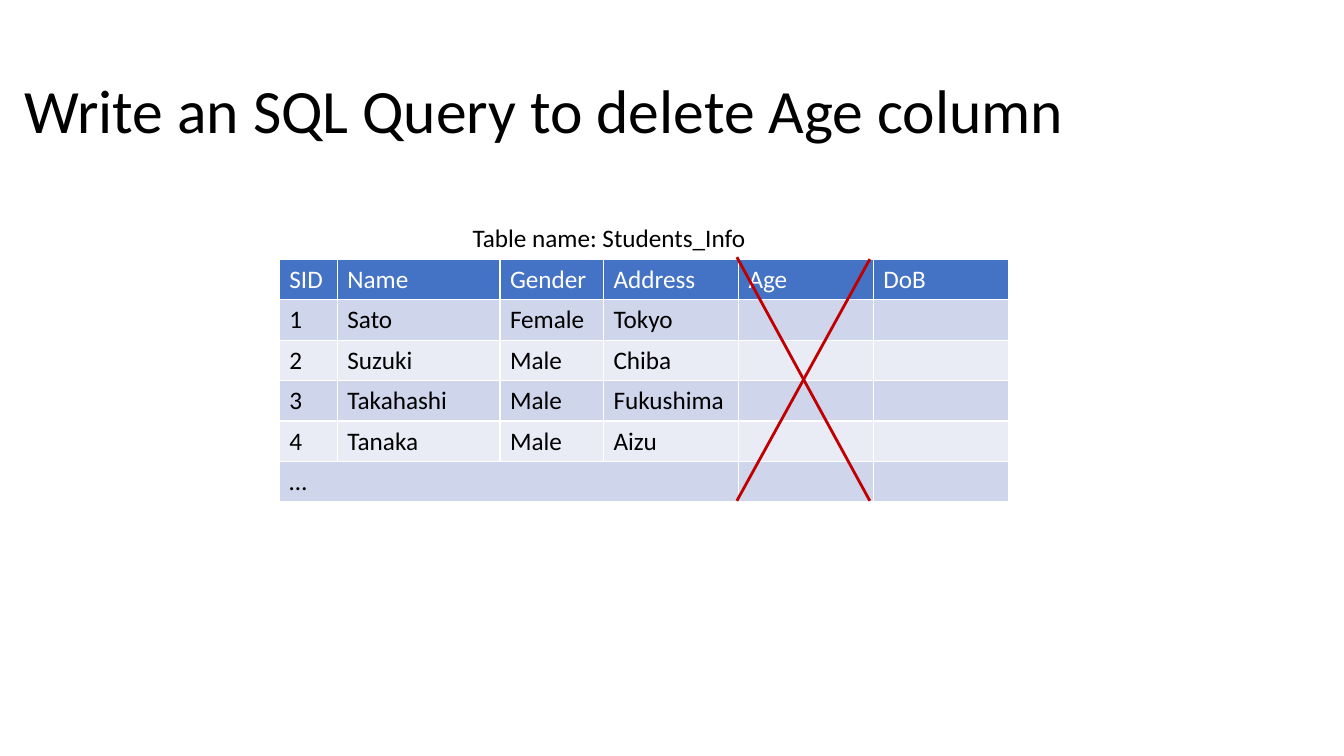
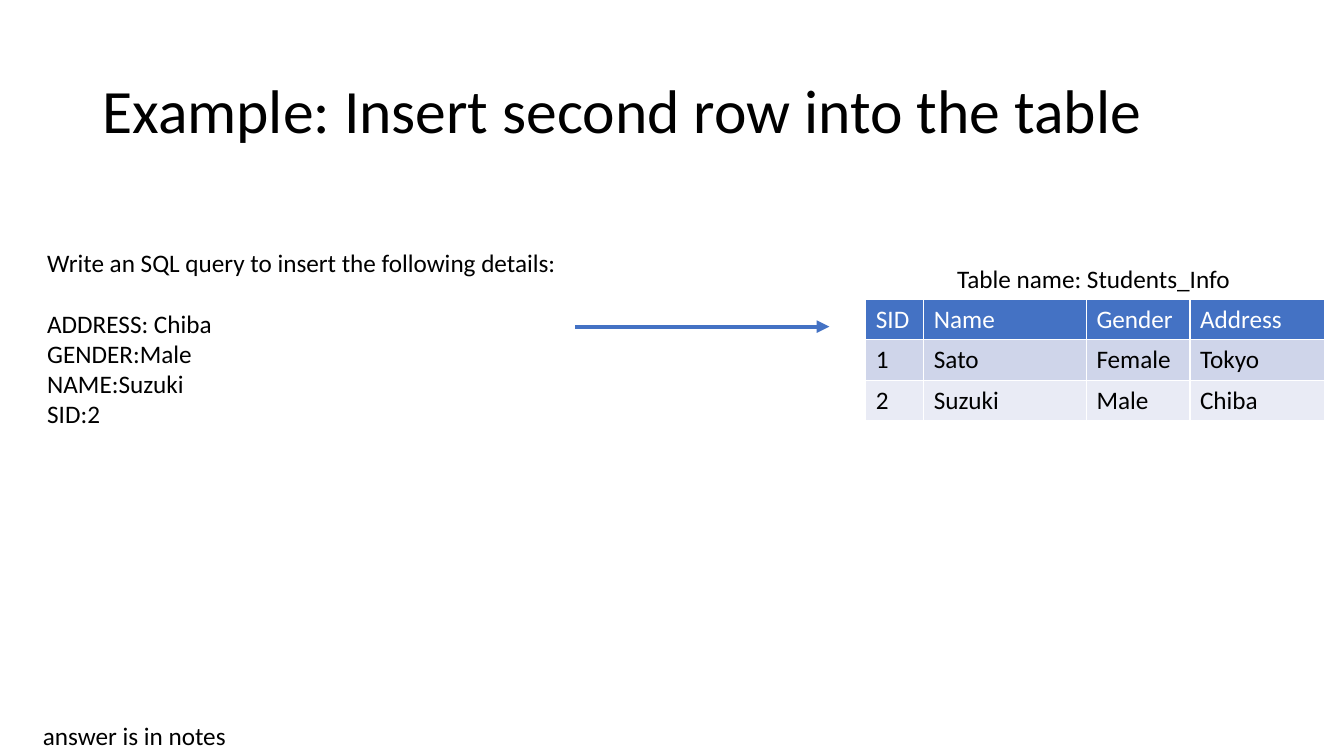
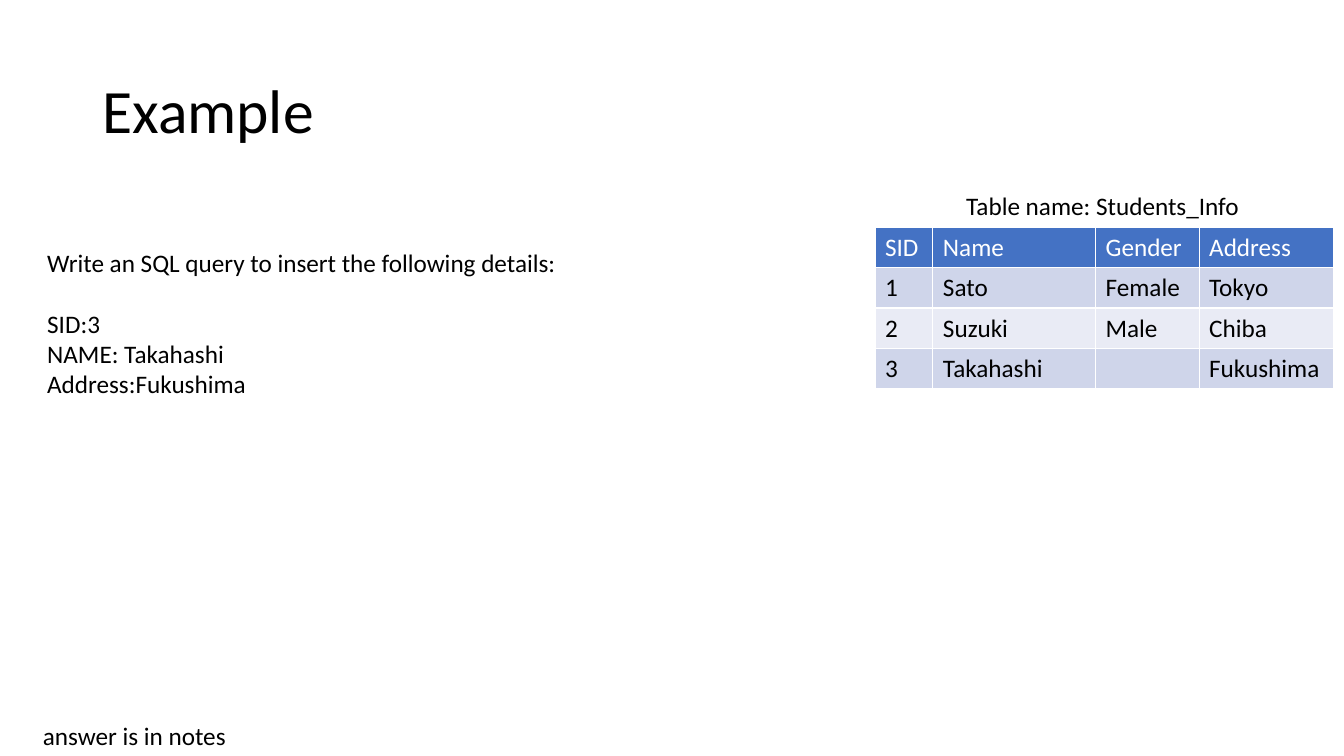
from dataclasses import dataclass

from lxml import etree
from pptx import Presentation
from pptx.dml.color import RGBColor
from pptx.enum.shapes import MSO_CONNECTOR
from pptx.enum.text import MSO_ANCHOR, MSO_AUTO_SIZE
from pptx.oxml.ns import qn
from pptx.util import Cm, Pt

STRAIGHT = MSO_CONNECTOR.STRAIGHT
MIDDLE = MSO_ANCHOR.MIDDLE
GROW = MSO_AUTO_SIZE.SHAPE_TO_FIT_TEXT


@dataclass(frozen=True)
class Theme:
    font: str = "Calibri"
    title_size: int = 44
    body_size: int = 18
    block_gap: int = 22
    ink: str = "000000"
    paper: str = "FFFFFF"
    accent: str = "4472C4"
    strike: str = "C00000"
    bands: tuple = ("CFD5EA", "E9EBF5")


THEME = Theme()
ROW_HEIGHT = 1.02
COLUMN_WIDTHS = {"SID": 1.46, "Name": 4.1, "Gender": 2.61,
                 "Address": 3.4, "Age": 3.4, "DoB": 3.4}
STUDENT_FIELDS = ["SID", "Name", "Gender", "Address"]
SATO = ["1", "Sato", "Female", "Tokyo"]
SUZUKI = ["2", "Suzuki", "Male", "Chiba"]
CAPTION_WIDTH = 7.47
CAPTION_RISE = 1.04


def style_para(para, size=THEME.body_size, color=THEME.ink):
    font = para.font
    font.name = THEME.font
    font.size = Pt(size)
    font.bold = False
    font.color.rgb = RGBColor.from_string(color)


def add_text(page, lines, left, top, width, height=1.03, wrap=False):
    """Body text; the second line starts a new block."""
    box = page.shapes.add_textbox(Cm(left), Cm(top), Cm(width), Cm(height))
    frame = box.text_frame
    frame.word_wrap = wrap
    frame.auto_size = GROW
    frame.text = "\n".join(lines)
    for para in frame.paragraphs:
        style_para(para)
    if len(lines) > 1:
        frame.paragraphs[1].space_before = Pt(THEME.block_gap)


def add_title(page, text, left=2.33, width=29.21):
    box = page.shapes.add_textbox(Cm(left), Cm(1.01), Cm(width), Cm(3.68))
    frame = box.text_frame
    frame.word_wrap = True
    frame.vertical_anchor = MIDDLE
    frame.text = text
    para = frame.paragraphs[0]
    para.line_spacing = 0.9
    style_para(para, THEME.title_size)


def add_student_table(page, fields, records, left, top, caption_left=None):
    """Banded table with its name above, centred unless placed."""
    widths = [COLUMN_WIDTHS[field] for field in fields]
    rows = [fields] + records
    table = page.shapes.add_table(
        len(rows), len(fields), Cm(left), Cm(top),
        Cm(sum(widths)), Cm(ROW_HEIGHT * len(rows))).table
    for column, width in zip(table.columns, widths):
        column.width = Cm(width)
    for row_index, values in enumerate(rows):
        table.rows[row_index].height = Cm(ROW_HEIGHT)
        header = row_index == 0
        fill = THEME.accent if header else THEME.bands[(row_index - 1) % 2]
        for column_index in range(len(fields)):
            cell = table.cell(row_index, column_index)
            cell.fill.solid()
            cell.fill.fore_color.rgb = RGBColor.from_string(fill)
            if column_index < len(values):
                cell.text = values[column_index]
            style_para(cell.text_frame.paragraphs[0],
                       color=THEME.paper if header else THEME.ink)
    if caption_left is None:
        caption_left = left + (sum(widths) - CAPTION_WIDTH) / 2
    add_text(page, ["Table name: Students_Info"],
             caption_left, top - CAPTION_RISE, CAPTION_WIDTH)
    return table


def add_line(page, start, end, color, weight, arrow=False):
    line = page.shapes.add_connector(
        STRAIGHT, *(Cm(length) for length in (*start, *end)))
    line.line.color.rgb = RGBColor.from_string(color)
    line.line.width = Pt(weight)
    if arrow:
        etree.SubElement(line.line._get_or_add_ln(), qn("a:tailEnd"),
                         type="triangle")
    etree.SubElement(line._element.spPr, qn("a:effectLst"))


def add_insert_task(page, details):
    """Question on the left and the hint at the foot."""
    lines = ["Write an SQL query to insert the following details:", *details]
    add_text(page, lines, 0.94, 6.1, 13.49,
             0.25 + 0.77 * (len(lines) + 1), wrap=True)
    add_text(page, ["answer is in notes"], 0.83, 18.02, 5.18)


def build_delete_column(page):
    add_title(page, "Write an SQL Query to delete Age column", 0.36, 33.27)
    records = [SATO, SUZUKI,
               ["3", "Takahashi", "Male", "Fukushima"],
               ["4", "Tanaka", "Male", "Aizu"],
               ["…"]]
    table = add_student_table(page, list(COLUMN_WIDTHS), records,
                              7.04, 6.53, caption_left=11.66)
    table.cell(5, 0).merge(table.cell(5, 3))
    # Cross over the Age column
    left, right, bottom = 18.57, 21.92, 12.62
    add_line(page, (left, 6.48), (right, bottom), THEME.strike, 2)
    add_line(page, (left, bottom), (right, 6.53), THEME.strike, 2)


def build_insert_second(page):
    add_title(page, "Example: Insert second row into the table")
    add_student_table(page, STUDENT_FIELDS, [SATO, SUZUKI], 21.82, 7.54)
    add_line(page, (14.5, 8.23), (20.9, 8.23), THEME.accent, 3, arrow=True)
    add_insert_task(page, ["ADDRESS: Chiba", "GENDER:Male",
                           "NAME:Suzuki", "SID:2"])


def build_insert_third(page):
    add_title(page, "Example")
    records = [SATO, SUZUKI, ["3", "Takahashi", "", "Fukushima"]]
    add_student_table(page, STUDENT_FIELDS, records, 22.05, 5.72)
    add_insert_task(page, ["SID:3", "NAME: Takahashi", "Address:Fukushima"])


def main():
    deck = Presentation()
    deck.slide_width, deck.slide_height = Cm(33.87), Cm(19.05)
    blank = deck.slide_layouts[6]
    for build in (build_delete_column, build_insert_second,
                  build_insert_third):
        build(deck.slides.add_slide(blank))
    deck.save("out.pptx")


if __name__ == "__main__":
    main()
